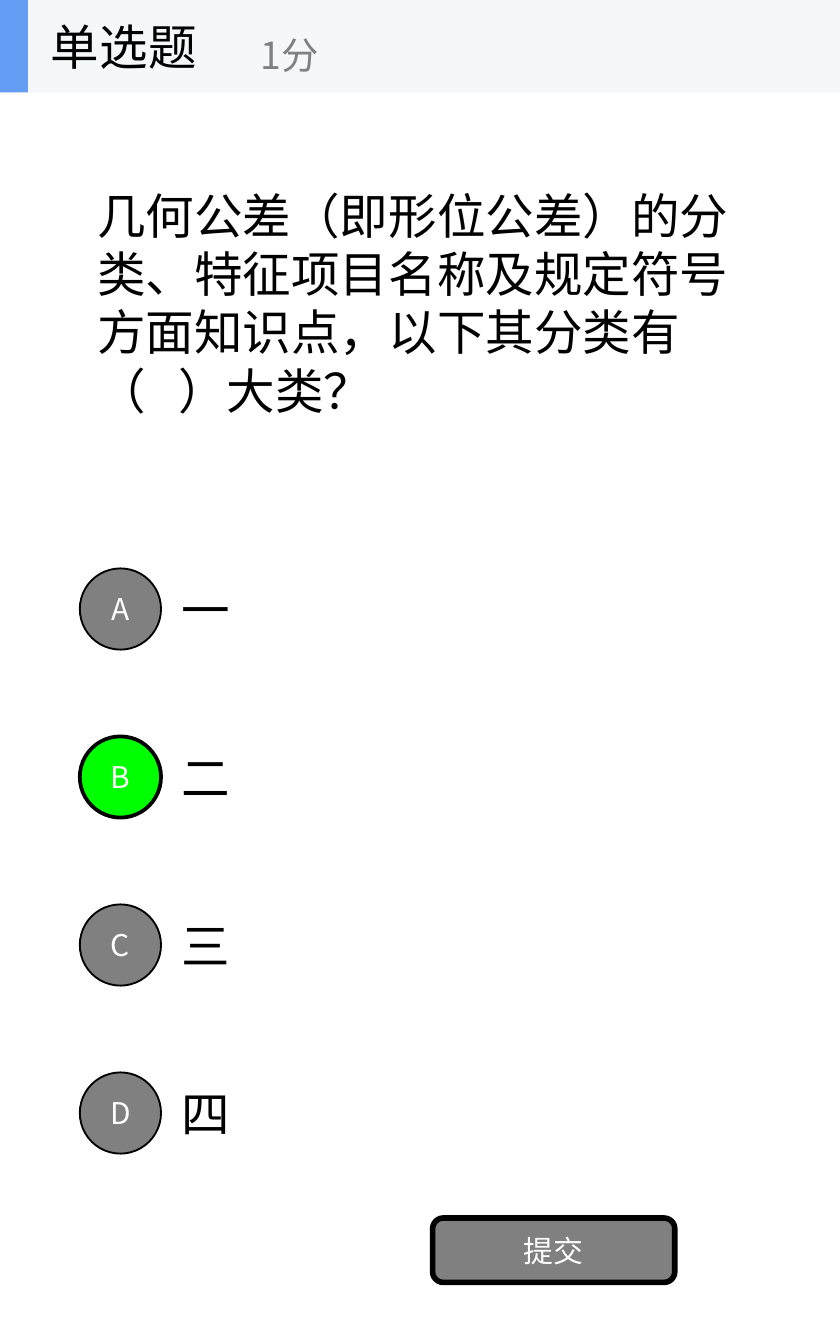
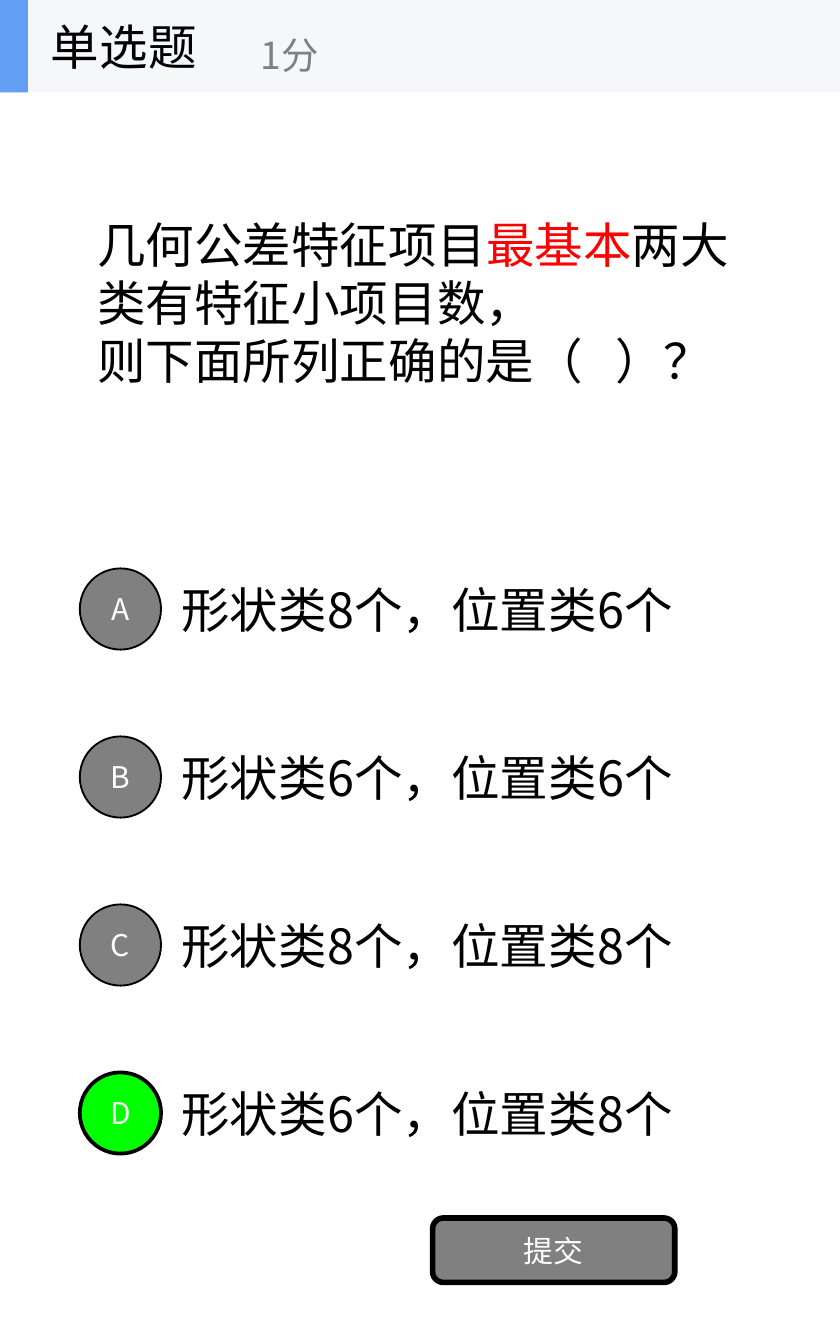
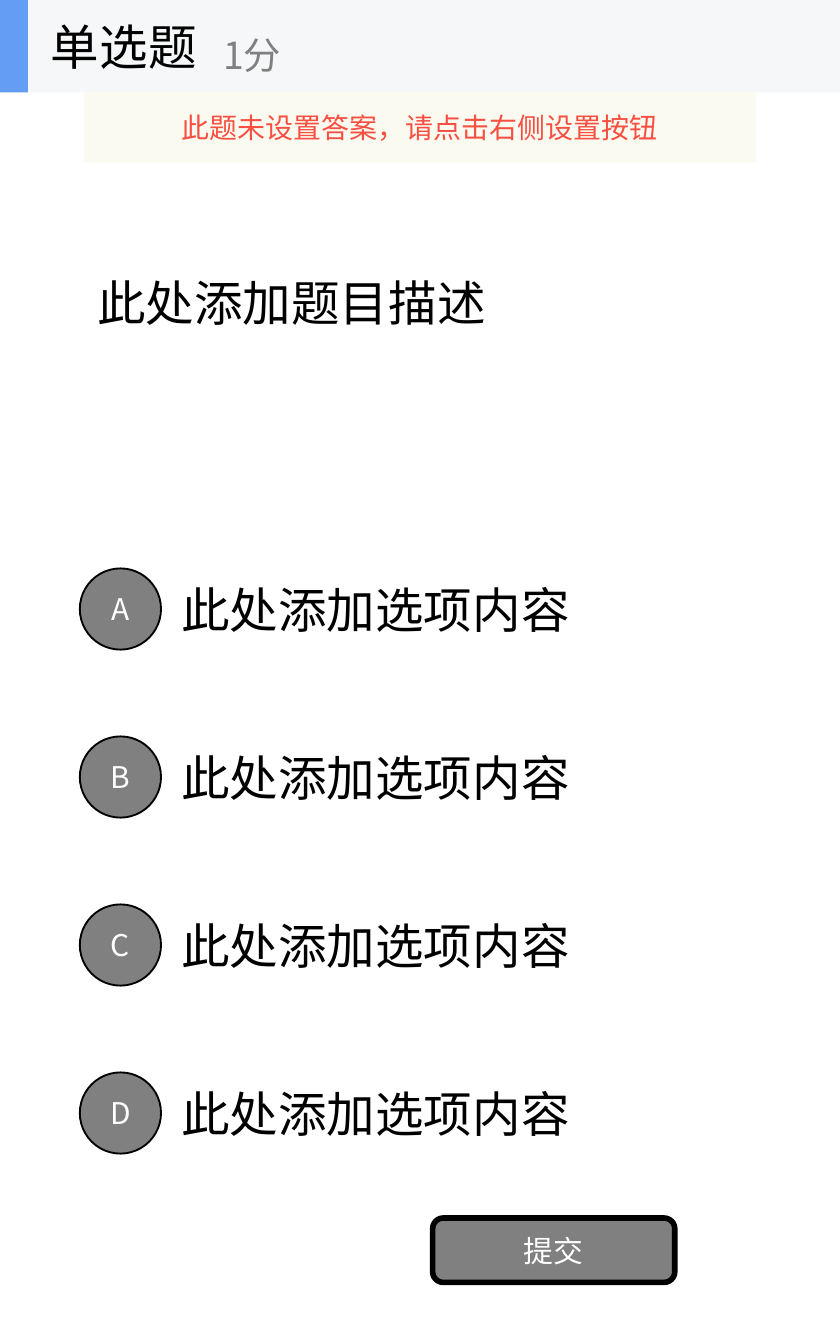
from lxml import etree
from pptx import Presentation
from pptx.dml.color import RGBColor
from pptx.enum.lang import MSO_LANGUAGE_ID
from pptx.enum.shapes import MSO_SHAPE
from pptx.enum.text import MSO_ANCHOR, PP_ALIGN
from pptx.oxml.ns import qn
from pptx.util import Pt

RECTANGLE = MSO_SHAPE.RECTANGLE
ROUNDED = MSO_SHAPE.ROUNDED_RECTANGLE
OVAL = MSO_SHAPE.OVAL
MIDDLE = MSO_ANCHOR.MIDDLE
LEFT = PP_ALIGN.LEFT
CENTER = PP_ALIGN.CENTER
CHINESE = MSO_LANGUAGE_ID.SIMPLIFIED_CHINESE

BLACK = RGBColor(0x00, 0x00, 0x00)
WHITE = RGBColor(0xFF, 0xFF, 0xFF)
GRAY = RGBColor(0x80, 0x80, 0x80)
GREEN = RGBColor(0x00, 0xFF, 0x00)
RED = RGBColor(0xFF, 0x00, 0x00)
BAND = RGBColor(0xF6, 0xF7, 0xF8)
ACCENT = RGBColor(0x63, 0x9E, 0xF4)
NOTICE_FILL = RGBColor(0xFB, 0xFA, 0xEF)
NOTICE_TEXT = RGBColor(0xF8, 0x4F, 0x41)

FONT = "Noto Sans CJK SC"
EMU_PER_PX = 9525
SLIDE_WIDTH, SLIDE_HEIGHT = 600, 960
MARGIN, CONTENT_WIDTH = 60, 480
HEADER_HEIGHT = 66
OPTION_TOP, OPTION_STEP, OPTION_HEIGHT = 390, 120, 90
BADGE_SIZE = 58

BODY = {"size": Pt(26), "color": BLACK}
SCORE = {"size": Pt(20), "color": GRAY}
LABEL = {"size": Pt(16), "color": WHITE}
NOTICE = {"size": Pt(15), "color": NOTICE_TEXT}

QUESTIONS = [
    {
        "description": [
            [("几何公差（即形位公差）的分类、特征项目名称及规定符号方面知识点，以下其分类有", BLACK)],
            [("（   ）大类？", BLACK)],
        ],
        "options": ["一", "二", "三", "四"],
        "answer": "B",
        "score_left": 177,
    },
    {
        "description": [
            [("几何公差特征项目", BLACK), ("最基本", RED), ("两大类有特征小项目数，", BLACK)],
            [("则下面所列正确的是（   ）？", BLACK)],
        ],
        "options": [
            f"形状类{form}个，位置类{position}个"
            for form, position in [(8, 6), (6, 6), (8, 8), (6, 8)]
        ],
        "answer": "D",
        "score_left": 177,
    },
    {
        "description": [[("此处添加题目描述", BLACK)]],
        "options": ["此处添加选项内容"] * 4,
        "answer": None,
        "score_left": 150,
        "notice": "此题未设置答案，请点击右侧设置按钮",
    },
]


def px(*lengths):
    return [length * EMU_PER_PX for length in lengths]


def set_format(target, values):
    for name, value in values.items():
        setattr(target, name, value)


def add_run(paragraph, text, style, color):
    run = paragraph.add_run()
    run.text = text
    set_format(run.font, {"name": FONT, "size": style["size"], "language_id": CHINESE})
    run.font.color.rgb = color
    east_asian = etree.SubElement(run.font._element, qn("a:ea"))
    east_asian.set("typeface", FONT)


def write_text(shape, paragraphs, style, alignment=LEFT, wrap=True):
    frame = shape.text_frame
    set_format(frame, {"word_wrap": wrap, "vertical_anchor": MIDDLE})
    for index, runs in enumerate(paragraphs):
        paragraph = frame.add_paragraph() if index else frame.paragraphs[0]
        paragraph.alignment = alignment
        for text, color in runs:
            add_run(paragraph, text, style, color)


def add_text(shapes, box, text, style, wrap=True):
    textbox = shapes.add_textbox(*px(*box))
    write_text(textbox, [[(text, style["color"])]], style, wrap=wrap)


def add_block(shapes, kind, box, fill, line_width=0):
    shape = shapes.add_shape(kind, *px(*box))
    shape.shadow.inherit = False
    shape.fill.solid()
    shape.fill.fore_color.rgb = fill
    if line_width:
        shape.line.color.rgb = BLACK
        shape.line.width = Pt(line_width)
    else:
        shape.line.fill.background()
    return shape


def add_label(shapes, kind, box, text, fill, line_width):
    shape = add_block(shapes, kind, box, fill, line_width)
    set_format(shape.text_frame, dict.fromkeys(
        ("margin_left", "margin_right", "margin_top", "margin_bottom"), 0))
    write_text(shape, [[(text, LABEL["color"])]], LABEL, CENTER)


def add_description(slide, paragraphs):
    box = (MARGIN, HEADER_HEIGHT, CONTENT_WIDTH, 300)
    write_text(slide.shapes.add_textbox(*px(*box)), paragraphs, BODY)


def add_options(slide, options, answer):
    for index, text in enumerate(options):
        top = OPTION_TOP + index * OPTION_STEP
        add_text(slide.shapes, (120, top, 420, OPTION_HEIGHT), text, BODY)
    for index, letter in enumerate("ABCD"[:len(options)]):
        top = OPTION_TOP + index * OPTION_STEP + (OPTION_HEIGHT - BADGE_SIZE) // 2
        fill, line_width = (GREEN, 2) if letter == answer else (GRAY, 1)
        box = (57, top, BADGE_SIZE, BADGE_SIZE)
        add_label(slide.shapes, OVAL, box, letter, fill, line_width)


def add_header(slide, score_left):
    header = slide.shapes.add_group_shape().shapes
    add_block(header, RECTANGLE, (0, 0, SLIDE_WIDTH, HEADER_HEIGHT), BAND)
    add_block(header, RECTANGLE, (0, 0, 20, HEADER_HEIGHT), ACCENT)
    add_text(header, (27, 0, 200, HEADER_HEIGHT), "单选题", BODY, wrap=False)
    add_text(header, (score_left, 12, 240, 54), "1分", SCORE, wrap=False)


def add_notice(slide, text):
    box = (MARGIN, HEADER_HEIGHT, CONTENT_WIDTH, 50)
    notice = add_block(slide.shapes, RECTANGLE, box, NOTICE_FILL)
    color = notice._element.spPr.find(qn("a:solidFill")).find(qn("a:srgbClr"))
    etree.SubElement(color, qn("a:alpha")).set("val", "90000")
    write_text(notice, [[(text, NOTICE["color"])]], NOTICE, CENTER, wrap=False)


def add_question(presentation, question):
    slide = presentation.slides.add_slide(presentation.slide_layouts[6])
    add_description(slide, question["description"])
    add_options(slide, question["options"], question["answer"])
    add_label(slide.shapes, ROUNDED, (309, 870, 173, 46), "提交", GRAY, 3)
    add_header(slide, question["score_left"])
    if "notice" in question:
        add_notice(slide, question["notice"])


def main():
    presentation = Presentation()
    width, height = px(SLIDE_WIDTH, SLIDE_HEIGHT)
    set_format(presentation, {"slide_width": width, "slide_height": height})
    for question in QUESTIONS:
        add_question(presentation, question)
    presentation.save("out.pptx")


if __name__ == "__main__":
    main()
